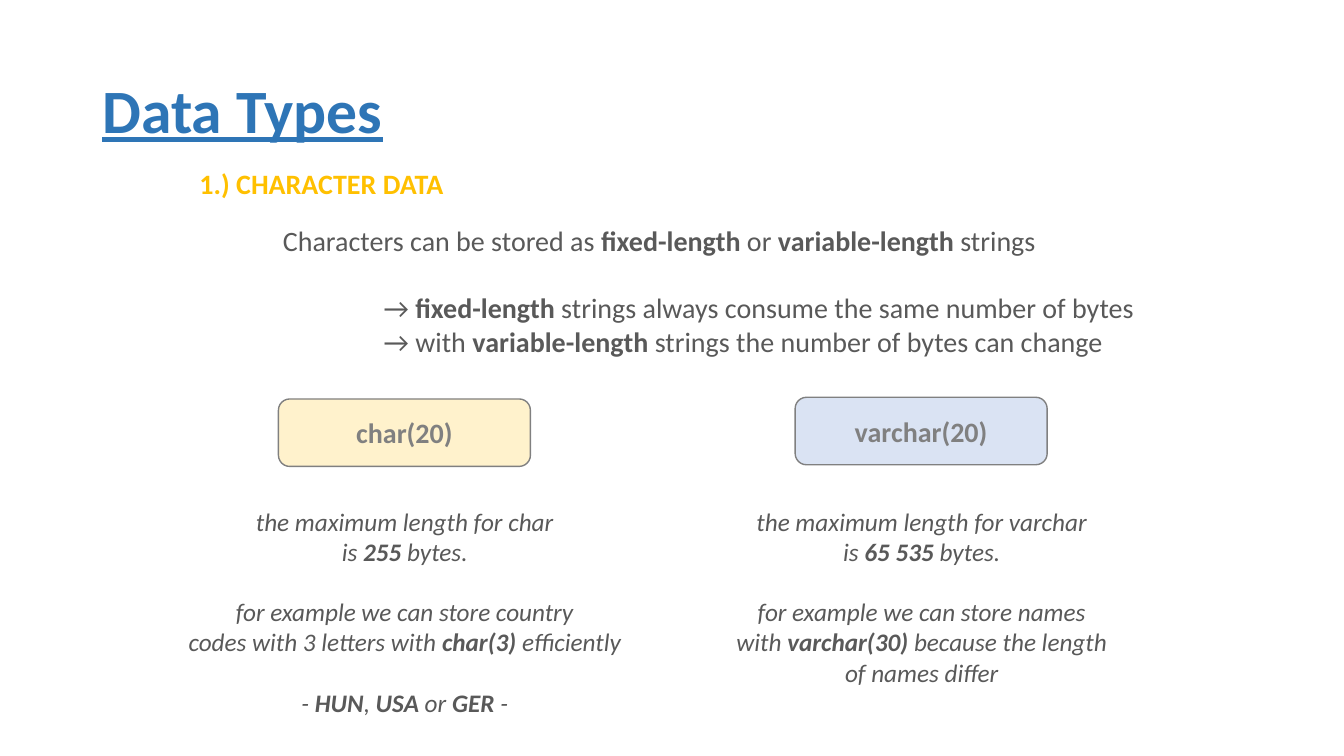
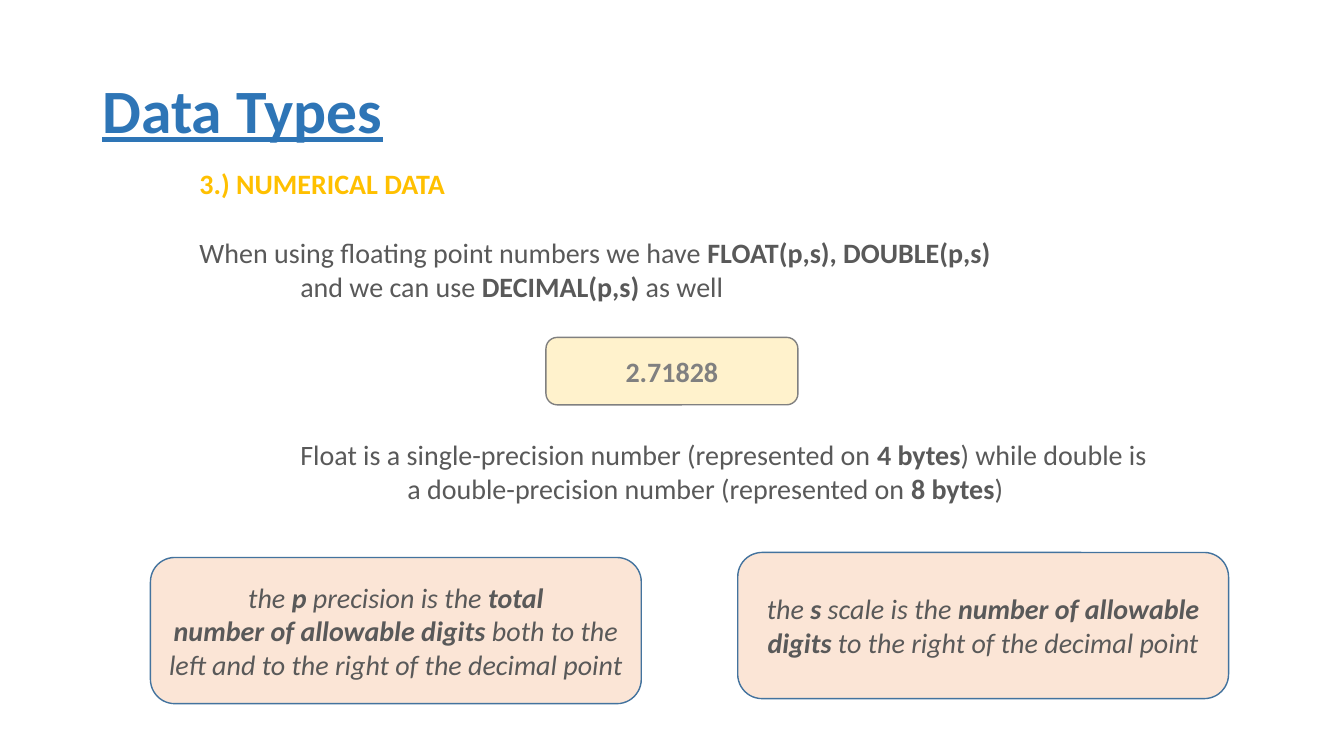
"""Build two slides on character and numerical data types."""
from dataclasses import dataclass

import pptx
import pptx.dml.color
import pptx.enum.shapes
import pptx.enum.text
import pptx.slide
import pptx.text.text
import pptx.util

Pt = pptx.util.Pt
RGBColor = pptx.dml.color.RGBColor
ALIGN = pptx.enum.text.PP_ALIGN
ANCHOR = pptx.enum.text.MSO_ANCHOR
ROUND = pptx.enum.shapes.MSO_SHAPE.ROUNDED_RECTANGLE

BLUE = RGBColor(0x2E, 0x75, 0xB6)
GOLD = RGBColor(0xFF, 0xC0, 0x00)
DARK = RGBColor(0x59, 0x59, 0x59)
GRAY = RGBColor(0x80, 0x80, 0x80)
STEEL = RGBColor(0x43, 0x73, 0x9E)
CREAM = RGBColor(0xFF, 0xF2, 0xCC)
PALE = RGBColor(0xDA, 0xE3, 0xF3)
PEACH = RGBColor(0xFB, 0xE5, 0xD6)
FONT = "Calibri"
MARK = "**"


@dataclass(frozen=True)
class Style:
    size: float
    color: RGBColor
    italic: bool = False
    align: ALIGN = ALIGN.LEFT


@dataclass(frozen=True)
class Line:
    text: str
    indent: float = 0
    gap: float = 0


@dataclass(frozen=True)
class Block:
    left: float
    top: float
    width: float
    height: float
    style: Style
    lines: tuple[Line, ...]
    fill: RGBColor | None = None
    edge: RGBColor | None = None


HEAD = Style(20, GOLD)
BODY = Style(20, DARK)
NOTE = Style(18, DARK, True, ALIGN.CENTER)
CARD = Style(20, DARK, True, ALIGN.CENTER)
PILL = Style(20, GRAY, False, ALIGN.CENTER)


def pill(left: float, top: float, text: str, fill: RGBColor) -> Block:
    """Return a small labelled box."""
    return Block(left, top, 180, 48.2, PILL, (Line(f"{MARK}{text}{MARK}"),), fill, GRAY)


def card(left: float, top: float, *lines: str) -> Block:
    """Return a large box that holds a definition."""
    return Block(left, top, 350.6, 104.4, CARD, tuple(map(Line, lines)), PEACH, STEEL)


def note(left: float, *lines: Line) -> Block:
    """Return a centred column of italic text."""
    return Block(left, 357.8, 340, 160, NOTE, lines)


PAGES = {
    "1.) CHARACTER DATA": (
        Block(195, 156.2, 640, 106, BODY, (
            Line("Characters can be stored as **fixed-length** or **variable-length** strings"),
            Line("→ **fixed-length** strings always consume the same number of bytes", 72, 24),
            Line("→ with **variable-length** strings the number of bytes can change", 72),
        )),
        pill(198.9, 285, "char(20)", CREAM),
        pill(568, 283.8, "varchar(20)", PALE),
        note(
            119.1,
            Line("the maximum length for char"),
            Line("is **255** bytes."),
            Line("for example we can store country", gap=21.6),
            Line("codes with 3 letters with **char(3)** efficiently"),
            Line("- **HUN**, **USA** or **GER** -", gap=21.6),
        ),
        note(
            488.4,
            Line("the maximum length for varchar"),
            Line("is **65 535** bytes."),
            Line("for example we can store names", gap=21.6),
            Line("with **varchar(30)** because the length"),
            Line("of names differ"),
        ),
    ),
    "3.) NUMERICAL DATA": (
        Block(135.4, 164.9, 640, 56, BODY, (
            Line("When using floating point numbers we have **FLOAT(p,s), DOUBLE(p,s)**"),
            Line("and we can use **DECIMAL(p,s)** as well", 72),
        )),
        pill(390, 241, "2.71828", CREAM),
        Block(135.4, 309, 720, 56, BODY, (
            Line("Float is a single-precision number (represented on **4 bytes**) while double is", 72),
            Line("a double-precision number (represented on **8 bytes**)", 148.5),
        )),
        card(
            107.5, 398.2,
            "the **p** precision is the **total**",
            "**number of allowable digits** both to the",
            "left and to the right of the decimal point",
        ),
        card(
            527, 394.6,
            "the **s** scale is the **number of allowable**",
            "**digits** to the right of the decimal point",
        ),
    ),
}


def write(para: pptx.text.text._Paragraph, line: Line, style: Style) -> None:
    """Write one line, with marked parts in bold."""
    para.alignment = style.align
    para.space_before = Pt(line.gap)
    if line.indent:
        para._p.get_or_add_pPr().set("marL", str(Pt(line.indent)))
    for index, part in enumerate(line.text.split(MARK)):
        if part:
            run = para.add_run()
            run.text = part
            font = run.font
            font.name, font.size = FONT, Pt(style.size)
            font.bold, font.italic = index % 2 == 1, style.italic
            font.color.rgb = style.color


def draw(slide: pptx.slide.Slide, block: Block) -> None:
    """Draw a block as a text box or a filled rounded box."""
    place = [Pt(n) for n in (block.left, block.top, block.width, block.height)]
    if block.fill is None:
        shape = slide.shapes.add_textbox(*place)
    else:
        shape = slide.shapes.add_shape(ROUND, *place)
        shape.shadow.inherit = False
        shape.fill.solid()
        shape.fill.fore_color.rgb = block.fill
        shape.line.color.rgb = block.edge
        shape.line.width = Pt(1)
    frame = shape.text_frame
    frame.word_wrap = True
    frame.vertical_anchor = ANCHOR.TOP if block.fill is None else ANCHOR.MIDDLE
    for index, line in enumerate(block.lines):
        para = frame.add_paragraph() if index else frame.paragraphs[0]
        write(para, line, block.style)


def name(slide: pptx.slide.Slide, text: str) -> None:
    """Place and format the slide title."""
    title = slide.shapes.title
    title.left, title.top, title.width, title.height = map(Pt, (66, 28.8, 828, 104.4))
    frame = title.text_frame
    frame.text = text
    frame.vertical_anchor = ANCHOR.MIDDLE
    para = frame.paragraphs[0]
    para.alignment = ALIGN.LEFT
    para.line_spacing = 0.9
    font = para.runs[0].font
    font.name, font.size, font.bold, font.underline = FONT, Pt(44), True, True
    font.color.rgb = BLUE


def main() -> None:
    """Build and save the deck."""
    deck = pptx.Presentation()
    deck.slide_width, deck.slide_height = Pt(960), Pt(540)
    for head, blocks in PAGES.items():
        slide = deck.slides.add_slide(deck.slide_layouts[5])
        name(slide, "Data Types")
        draw(slide, Block(135.4, 115.2, 240, 31.7, HEAD, (Line(f"{MARK}{head}{MARK}"),)))
        for block in blocks:
            draw(slide, block)
    deck.save("out.pptx")


if __name__ == "__main__":
    main()
